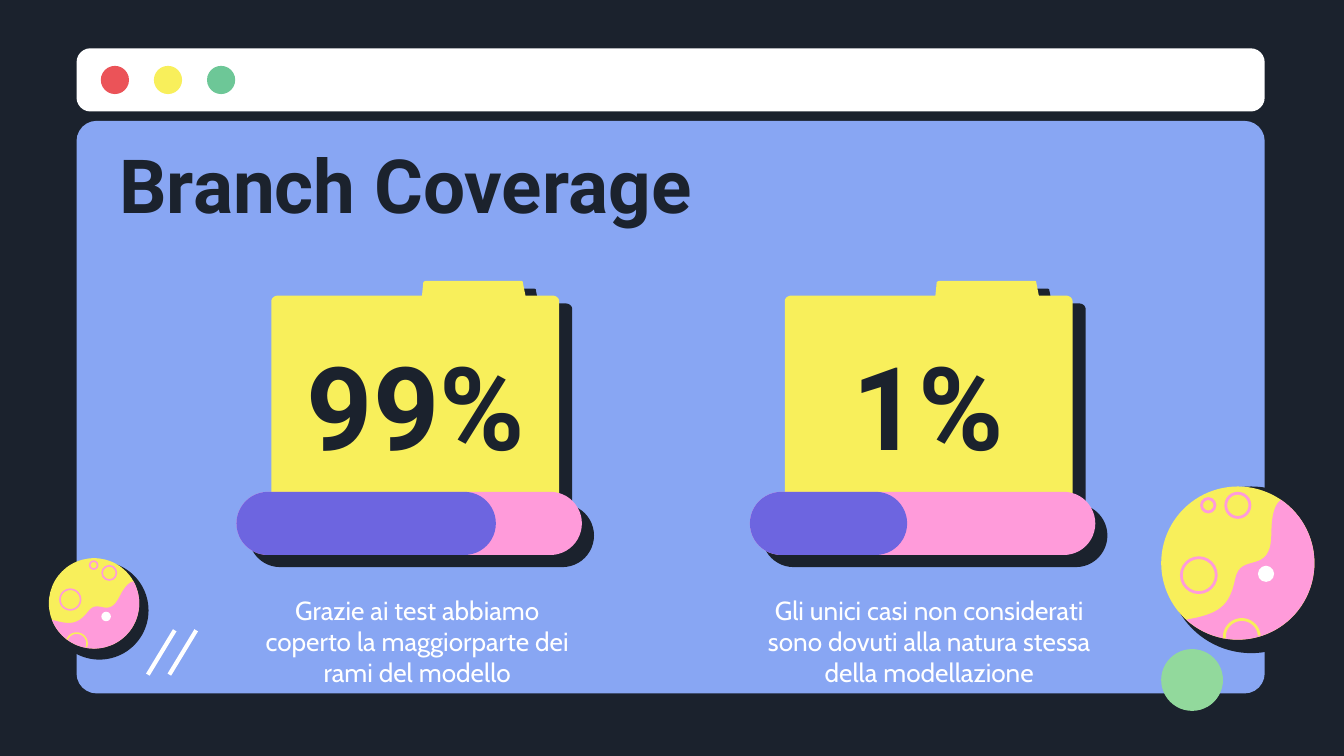
from math import atan2, cos, radians, sin

from lxml import etree
from pptx import Presentation
from pptx.dml.color import RGBColor
from pptx.enum.shapes import MSO_CONNECTOR, MSO_SHAPE
from pptx.enum.text import MSO_ANCHOR, PP_ALIGN
from pptx.oxml.ns import qn
from pptx.util import Inches, Pt

NAVY = RGBColor(0x1B, 0x22, 0x2D)
BLUE = RGBColor(0x88, 0xA6, 0xF3)
WHITE = RGBColor(0xFF, 0xFF, 0xFF)
RED = RGBColor(0xEB, 0x53, 0x58)
YELLOW = RGBColor(0xF8, 0xEF, 0x5B)
GREEN = RGBColor(0x6D, 0xC7, 0x97)
MINT = RGBColor(0x92, 0xD9, 0x9C)
PINK = RGBColor(0xFF, 0x9B, 0xDA)
PURPLE = RGBColor(0x6D, 0x65, 0xE0)

# Content: figure, filled length of the bar, explanation
TITLE = "Branch Coverage"
RESULTS = [
    ("99%", 1.93, "Grazie ai test abbiamo coperto la maggiorparte dei rami del modello"),
    ("1%", 1.17, "Gli unici casi non considerati sono dovuti alla natura stessa della modellazione"),
]
WINDOW_BUTTONS = [RED, YELLOW, GREEN]

# Layout in inches
SLIDE_WIDTH = 10
SLIDE_HEIGHT = SLIDE_WIDTH * 9 / 16
WINDOW_LEFT, WINDOW_WIDTH = 0.57, 8.84
BUTTON_LEFT, BUTTON_PITCH, BUTTON_SIZE = 0.75, 0.79 / 2, 0.21
COLUMN_LEFT, COLUMN_PITCH, TEXT_PITCH = 1.76, 3.82, 3.81
BAR_TOP, BAR_WIDTH, BAR_HEIGHT, BAR_SHADOW = 3.66, 2.57, 0.47, 0.09

# Folder outline from its top left corner: points, or curves of three points
FOLDER = [
    (2.14, 0.15), (2.14, 1.63), (0, 1.63), (0, 0.15),
    (0, 0.13, 0.02, 0.11, 0.05, 0.11), (1.12, 0.11), (1.13, 0.01),
    (1.14, 0, 1.15, 0, 1.16, 0), (1.85, 0),
    (1.86, 0, 1.87, 0, 1.87, 0.01), (1.89, 0.11), (2.09, 0.11),
    (2.12, 0.11, 2.14, 0.13, 2.14, 0.15),
]

# Planet parts from its centre
PLANET_RADIUS = 0.57
PLANET_SHADOW = (0.1, 0.05, 0.62)
CRATERS = [(0, -0.43, 0.09), (-0.29, 0.09, 0.13), (-0.22, -0.43, 0.05)]
MOON_DOT = (0.21, 0.08, 0.06)
RIM_CRATER = (0.03, 0.55, 0.13)
PLANET_WAVE = [
    (-0.38, 0.42), (-0.14, 0.38, -0.06, 0.32, -0.02, 0.12),
    (0.02, -0.09, 0.25, 0.1, 0.25, -0.22),
    (0.25, -0.37, 0.28, -0.44, 0.32, -0.47),
]
# Centre, scale and turn in degrees
PLANETS = [(9.21, 4.19, 1, 0), (0.7, 4.49, 0.59, 26.5)]


def paint(shape, fill=None, line=None, width=1):
    shape.shadow.inherit = False
    if fill is None:
        shape.fill.background()
    else:
        shape.fill.solid()
        shape.fill.fore_color.rgb = fill
    if line is None:
        shape.line.fill.background()
    else:
        shape.line.color.rgb = line
        shape.line.width = Pt(width)
    return shape


def add_box(kind, left, top, width, height, fill, radius=None):
    shape = slide.shapes.add_shape(
        kind, Inches(left), Inches(top), Inches(width), Inches(height))
    if radius is not None:
        shape.adjustments[0] = radius
    return paint(shape, fill)


def add_circle(x, y, radius, fill=None, line=None, width=1):
    shape = add_box(MSO_SHAPE.OVAL, x - radius, y - radius, 2 * radius, 2 * radius, fill)
    return paint(shape, fill, line, width)


def flatten(steps, pieces=16):
    """Turn points and cubic curves into a list of points."""
    points = []
    for step in steps:
        if len(step) == 2:
            points.append(step)
            continue
        controls = [points[-1], step[:2], step[2:4], step[4:]]
        for piece in range(1, pieces + 1):
            t = piece / pieces
            weights = ((1 - t) ** 3, 3 * t * (1 - t) ** 2, 3 * t * t * (1 - t), t ** 3)
            points.append(tuple(sum(weight * point[axis] for weight, point in zip(weights, controls))
                                for axis in (0, 1)))
    return points


def arc(x, y, radius, start, end, pieces=48):
    angles = [start + (end - start) * piece / pieces for piece in range(pieces + 1)]
    return [(x + radius * cos(angle), y + radius * sin(angle)) for angle in angles]


def add_outline(points, close=True):
    corners = [(Inches(x), Inches(y)) for x, y in points]
    builder = slide.shapes.build_freeform(*corners[0])
    builder.add_line_segments(corners[1:], close=close)
    return builder.convert_to_shape()


def add_text(text, left, top, width, height, font, size, color,
             bold=False, align=PP_ALIGN.CENTER, anchor=MSO_ANCHOR.MIDDLE):
    box = slide.shapes.add_textbox(Inches(left), Inches(top), Inches(width), Inches(height))
    frame = box.text_frame
    frame.word_wrap = True
    frame.vertical_anchor = anchor
    frame.margin_left = frame.margin_right = Inches(0.1)
    frame.margin_top = frame.margin_bottom = Inches(0.1)
    frame.text = text
    paragraph = frame.paragraphs[0]
    paragraph.alignment = align
    style = paragraph.runs[0].font
    style.name, style.size, style.bold = font, Pt(size), bold
    style.color.rgb = color


def add_hard_shadow(shape, distance, degrees):
    effects = shape._element.spPr.find(qn("a:effectLst"))
    shadow = etree.SubElement(effects, qn("a:outerShdw"), blurRad="0", dist=str(Pt(distance)),
                              dir=str(degrees * 60000), algn="bl", rotWithShape="0")
    etree.SubElement(shadow, qn("a:srgbClr"), val=str(NAVY))


def add_planet(center_x, center_y, scale, turn):
    turn = radians(turn)

    def place(x, y):
        return (center_x + scale * (x * cos(turn) - y * sin(turn)),
                center_y + scale * (x * sin(turn) + y * cos(turn)))

    def add_part(part, **look):
        x, y, radius = part
        add_circle(*place(x, y), radius * scale, **look)

    ring_width = 1.5 * scale
    add_part(PLANET_SHADOW, fill=NAVY)
    add_part((0, 0, PLANET_RADIUS), fill=YELLOW)
    for crater in CRATERS:
        add_part(crater, line=PINK, width=ring_width)
    wave = flatten(PLANET_WAVE)
    first, last = wave[0], wave[-1]
    rim = arc(0, 0, PLANET_RADIUS, atan2(last[1], last[0]), atan2(first[1], first[0]))
    paint(add_outline([place(*point) for point in wave + rim]), PINK)
    crater_arc = arc(*RIM_CRATER, radians(176), radians(355))
    paint(add_outline([place(*point) for point in crater_arc], close=False),
          line=YELLOW, width=ring_width)
    add_part(MOON_DOT, fill=WHITE)


presentation = Presentation()
presentation.slide_width, presentation.slide_height = Inches(SLIDE_WIDTH), Inches(SLIDE_HEIGHT)
slide = presentation.slides.add_slide(presentation.slide_layouts[6])
slide.background.fill.solid()
slide.background.fill.fore_color.rgb = NAVY

# Browser window
add_box(MSO_SHAPE.ROUNDED_RECTANGLE, WINDOW_LEFT, 0.9, WINDOW_WIDTH, 4.26, BLUE, 0.035)
add_box(MSO_SHAPE.ROUNDED_RECTANGLE, WINDOW_LEFT, 0.36, WINDOW_WIDTH, 0.47, WHITE, 0.22)
for index, color in enumerate(WINDOW_BUTTONS):
    add_box(MSO_SHAPE.OVAL, BUTTON_LEFT + index * BUTTON_PITCH, 0.49, BUTTON_SIZE, BUTTON_SIZE, color)

# Decorations
for planet in PLANETS:
    add_planet(*planet)
for left in (1.1, 1.26):
    slash = slide.shapes.add_connector(
        MSO_CONNECTOR.STRAIGHT, Inches(left), Inches(5.02), Inches(left + 0.2), Inches(4.69))
    slash.line.color.rgb = WHITE
    slash.line.width = Pt(2.25)
    etree.SubElement(slash._element.spPr, qn("a:effectLst"))
add_circle(8.87, 5.06, 0.23, MINT)

# Title and result columns
add_text(TITLE, 0.79, 1.06, 7.19, 0.62, "Roboto", 40, NAVY, bold=True, align=PP_ALIGN.LEFT)
for index, (figure, filled, explanation) in enumerate(RESULTS):
    left = COLUMN_LEFT + index * COLUMN_PITCH
    text_left = COLUMN_LEFT + index * TEXT_PITCH
    folder = paint(add_outline([(left + 0.26 + x, 2.09 + y) for x, y in flatten(FOLDER)]), YELLOW)
    add_hard_shadow(folder, 8.2, 31)
    add_text(figure, text_left + 0.28, 2.47, 2.11, 1.08, "Roboto", 62, NAVY, bold=True)
    add_text(explanation, text_left + 0.03, 4.32, 2.63, 0.67, "Cabin", 14, WHITE, anchor=MSO_ANCHOR.TOP)
    for offset, width, color in ((BAR_SHADOW, BAR_WIDTH, NAVY), (0, BAR_WIDTH, PINK), (0, filled, PURPLE)):
        add_box(MSO_SHAPE.ROUNDED_RECTANGLE, left + offset, BAR_TOP + offset,
                width, BAR_HEIGHT, color, 0.5)

presentation.save("out.pptx")
